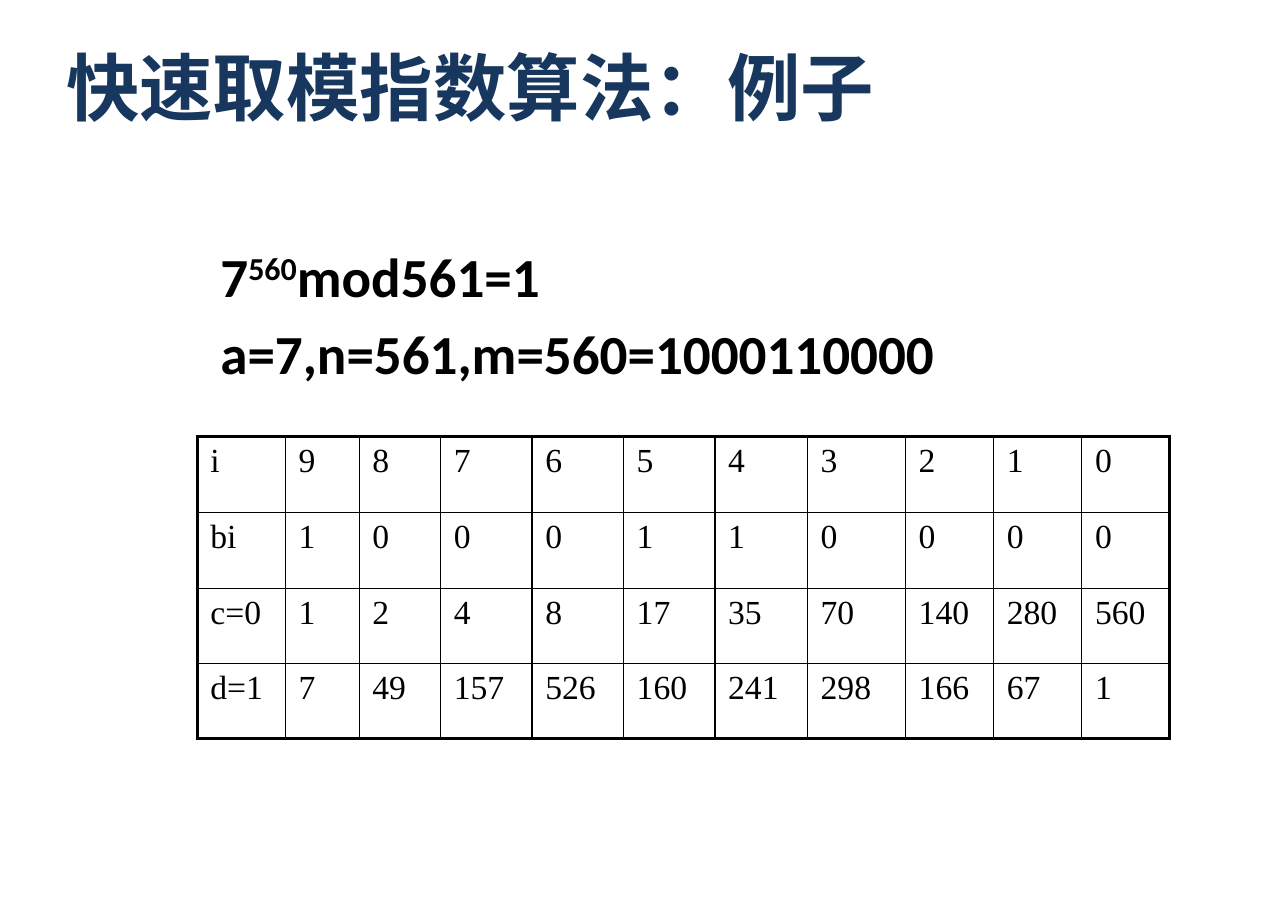
from lxml import etree
from pptx import Presentation
from pptx.dml.color import RGBColor
from pptx.enum.text import MSO_ANCHOR, MSO_AUTO_SIZE, PP_ALIGN
from pptx.oxml.ns import qn
from pptx.util import Inches, Pt

LEFT = PP_ALIGN.LEFT
MIDDLE, TOP = MSO_ANCHOR.MIDDLE, MSO_ANCHOR.TOP
NO_AUTOFIT = MSO_AUTO_SIZE.NONE
TITLE_ONLY = 5

NAVY, BLACK = "17375E", "000000"
OUTER_BORDER, INNER_BORDER = 2.25, 1

COLUMN_WIDTHS = [0.8, 0.67, 0.74, 0.83, 0.83, 0.83, 0.84, 0.89, 0.8, 0.8, 0.8]
ROW_HEIGHTS = [0.69, 0.69, 0.68, 0.68]
STEPS = [
    ["i", *range(9, -1, -1)],
    ["bi", *"1000110000"],
    ["c=0", 1, 2, 4, 8, 17, 35, 70, 140, 280, 560],
    ["d=1", 7, 49, 157, 526, 160, 241, 298, 166, 67, 1],
]


def rgb(color):
    return RGBColor.from_string(color)


def add_text(paragraph, text, size, font, color=BLACK, bold=False, raised=0):
    """Append a run; raised is the superscript offset in percent."""
    run = paragraph.add_run()
    run.text = text
    run.font.size = Pt(size)
    run.font.name = font
    run.font.bold = bold
    run.font.color.rgb = rgb(color)
    properties = run._r.get_or_add_rPr()
    etree.SubElement(properties, qn("a:ea"), typeface=font)
    if raised:
        properties.set("baseline", str(raised * 1000))
    paragraph.alignment = LEFT


def set_frame(frame, side, top, anchor):
    frame.margin_left = frame.margin_right = Inches(side)
    frame.margin_top = frame.margin_bottom = Inches(top)
    frame.vertical_anchor = anchor
    frame.word_wrap = True
    frame.auto_size = NO_AUTOFIT


def add_title(slide, text):
    title = slide.shapes.title
    title.left, title.top = Inches(0.6), Inches(0.38)
    title.width, title.height = Inches(9.94), Inches(0.81)
    set_frame(title.text_frame, 0, 0, MIDDLE)
    add_text(title.text_frame.paragraphs[0], text, 48, "Noto Sans CJK SC",
             color=NAVY, bold=True)


def add_problem(slide):
    box = slide.shapes.add_textbox(Inches(1.89), Inches(2.14), Inches(7.55), Inches(1.59))
    frame = box.text_frame
    set_frame(frame, 0.11, 0.06, TOP)
    style = {"size": 36, "font": "Calibri", "bold": True}
    power = frame.paragraphs[0]
    add_text(power, "7", **style)
    add_text(power, "560", raised=30, **style)
    add_text(power, "mod561=1", **style)
    values = frame.add_paragraph()
    values.space_before = Pt(7.2)
    add_text(values, "a=7,n=561,m=560=1000110000", **style)


def set_border(cell, side, width):
    line = etree.SubElement(cell._tc.get_or_add_tcPr(), qn(f"a:ln{side}"),
                            w=str(Pt(width)))
    fill = etree.SubElement(line, qn("a:solidFill"))
    etree.SubElement(fill, qn("a:srgbClr"), val=BLACK)


def add_steps_table(slide):
    row_count, column_count = len(STEPS), len(COLUMN_WIDTHS)
    table = slide.shapes.add_table(
        row_count, column_count, Inches(1.79), Inches(3.96),
        Inches(sum(COLUMN_WIDTHS)), Inches(sum(ROW_HEIGHTS))).table
    table.first_row = table.horz_banding = False
    for column, width in zip(table.columns, COLUMN_WIDTHS):
        column.width = Inches(width)
    for row, height in zip(table.rows, ROW_HEIGHTS):
        row.height = Inches(height)

    for r, values in enumerate(STEPS):
        for c, value in enumerate(values):
            cell = table.cell(r, c)
            cell.margin_left = cell.margin_right = Inches(0.12)
            cell.margin_top = cell.margin_bottom = Inches(0.06)
            cell.vertical_anchor = TOP
            outer_sides = {"L": c == 0, "R": c == column_count - 1,
                           "T": r == 0, "B": r == row_count - 1}
            for side, is_outer in outer_sides.items():
                set_border(cell, side, OUTER_BORDER if is_outer else INNER_BORDER)
            cell.fill.background()
            add_text(cell.text_frame.paragraphs[0], str(value), 22, "Times New Roman")


def main():
    presentation = Presentation()
    presentation.slide_width = Inches(11.69)
    presentation.slide_height = Inches(8.26)
    slide = presentation.slides.add_slide(presentation.slide_layouts[TITLE_ONLY])
    add_title(slide, "快速取模指数算法：例子")
    add_steps_table(slide)
    add_problem(slide)
    presentation.save("out.pptx")


if __name__ == "__main__":
    main()
